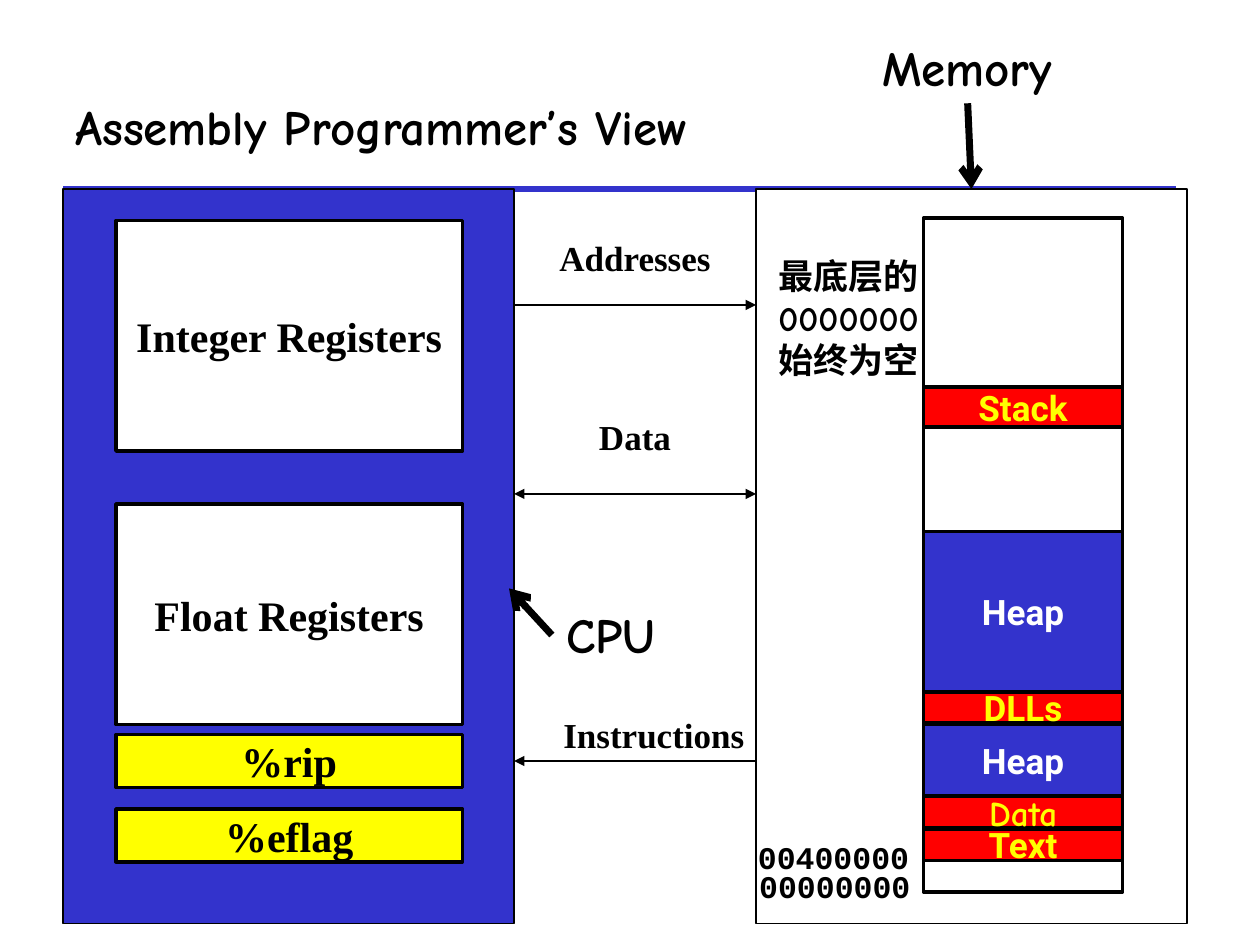
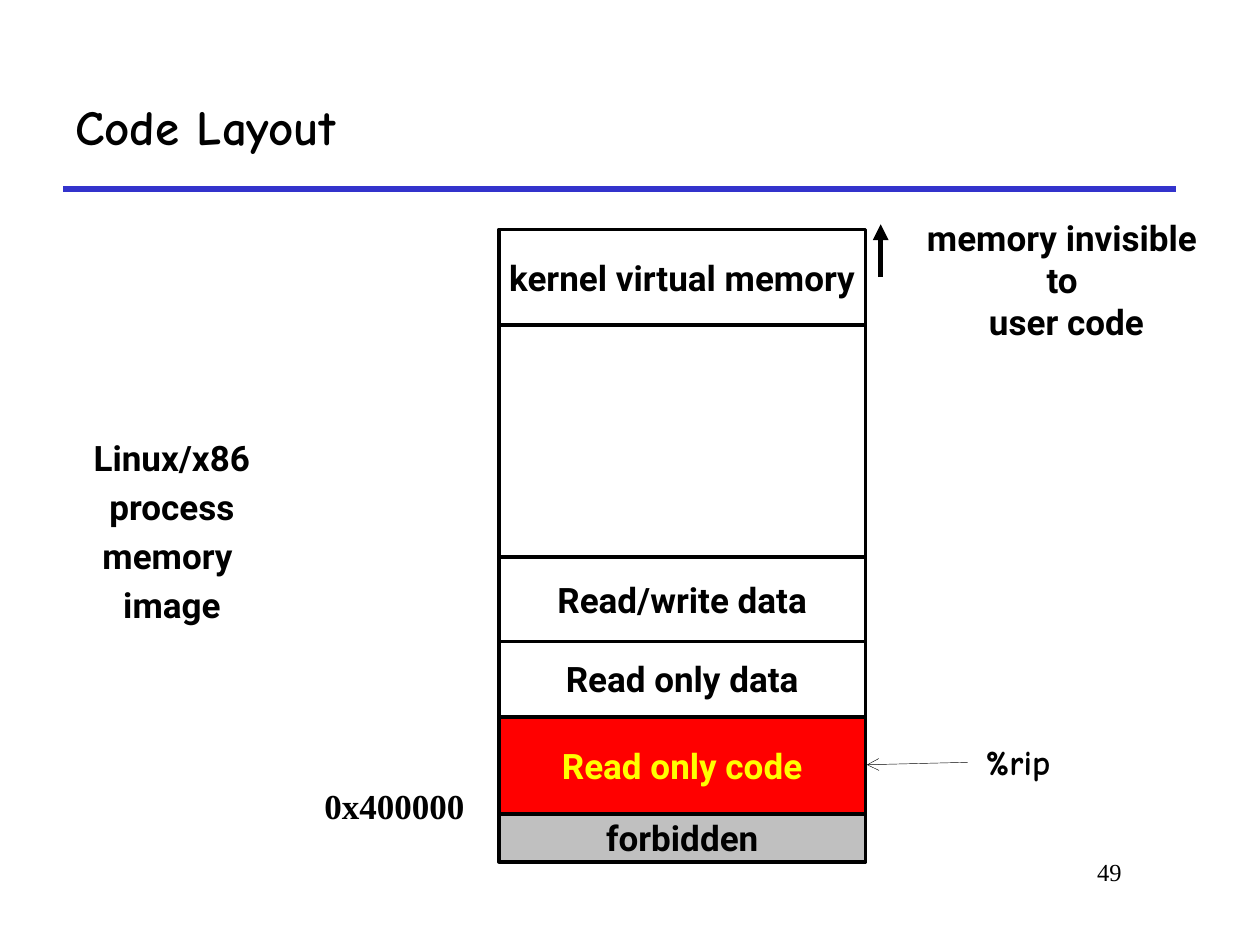
from dataclasses import dataclass

from lxml.etree import SubElement
from pptx import Presentation
from pptx.dml.color import RGBColor
from pptx.enum.shapes import MSO_CONNECTOR, MSO_SHAPE
from pptx.enum.text import MSO_ANCHOR, PP_ALIGN
from pptx.oxml.ns import qn
from pptx.slide import Slide
from pptx.text.text import TextFrame
from pptx.util import Inches, Pt

BLACK, WHITE, BLUE = "000000", "FFFFFF", "3333CC"
RED, YELLOW, GRAY = "FF0000", "FFFF00", "C0C0C0"
COMIC, ROBOTO = "Comic Neue", "Roboto"
TIMES, COURIER = "Times New Roman", "Courier New"


@dataclass(frozen=True)
class Style:
    font: str
    size: float = 20
    color: str = BLACK
    bold: bool = True


@dataclass(frozen=True)
class Area:
    left: float
    top: float
    width: float
    height: float


@dataclass(frozen=True)
class Region:
    area: Area
    fill: str | None = WHITE
    text: str = ""
    style: Style = Style(ROBOTO)
    weight: float = 2


@dataclass(frozen=True)
class Label:
    area: Area
    text: str
    style: Style
    align: PP_ALIGN = PP_ALIGN.CENTER
    anchor: MSO_ANCHOR = MSO_ANCHOR.TOP
    wrap: bool = False
    spacing: tuple[float, float] = (1, 0)


@dataclass(frozen=True)
class Arrow:
    start: tuple[float, float]
    end: tuple[float, float]
    weight: float = 0.75
    head: str = ""
    tail: str = ""
    color: str = BLACK


HEADING = Style(COMIC, 28)
REGISTER = Style(TIMES, 24)
BUS = Style(TIMES)
ADDRESS = Style(COURIER, 18)
ON_RED = Style(ROBOTO, color=YELLOW)
ON_BLUE = Style(ROBOTO, color=WHITE)


def rgb(value: str) -> RGBColor:
    return RGBColor.from_string(value)


def place(area: Area) -> tuple[Inches, Inches, Inches, Inches]:
    return Inches(area.left), Inches(area.top), Inches(area.width), Inches(area.height)


def write(frame: TextFrame, text: str, style: Style, align: PP_ALIGN,
          anchor: MSO_ANCHOR, wrap: bool = False,
          spacing: tuple[float, float] = (1, 0)) -> None:
    frame.word_wrap = wrap
    frame.vertical_anchor = anchor
    font_format = {"name": style.font, "size": Pt(style.size), "bold": style.bold}
    line_spacing, space_before = spacing
    for index, line in enumerate(text.split("\n")):
        paragraph = frame.add_paragraph() if index else frame.paragraphs[0]
        paragraph.alignment = align
        paragraph.line_spacing = line_spacing
        if index:
            paragraph.space_before = Pt(space_before)
        run = paragraph.add_run()
        run.text = line
        for attribute, value in font_format.items():
            setattr(run.font, attribute, value)
        run.font.color.rgb = rgb(style.color)


def draw_region(slide: Slide, region: Region) -> None:
    shape = slide.shapes.add_shape(MSO_SHAPE.RECTANGLE, *place(region.area))
    shape.shadow.inherit = False
    if region.fill:
        shape.fill.solid()
        shape.fill.fore_color.rgb = rgb(region.fill)
    else:
        shape.fill.background()
    shape.line.color.rgb = rgb(BLACK)
    shape.line.width = Pt(region.weight)
    if region.text:
        write(shape.text_frame, region.text, region.style,
              PP_ALIGN.CENTER, MSO_ANCHOR.MIDDLE)


def draw_label(slide: Slide, label: Label) -> None:
    box = slide.shapes.add_textbox(*place(label.area))
    write(box.text_frame, label.text, label.style, label.align,
          label.anchor, label.wrap, label.spacing)


def draw_arrow(slide: Slide, arrow: Arrow) -> None:
    points = [Inches(value) for value in (*arrow.start, *arrow.end)]
    connector = slide.shapes.add_connector(MSO_CONNECTOR.STRAIGHT, *points)
    connector.line.color.rgb = rgb(arrow.color)
    connector.line.width = Pt(arrow.weight)
    for tag, kind in {"a:headEnd": arrow.head, "a:tailEnd": arrow.tail}.items():
        if kind:
            SubElement(connector.line._get_or_add_ln(), qn(tag), type=kind)
    SubElement(connector._element.spPr, qn("a:effectLst"))


def draw_all(slide: Slide, parts: list[Region | Label | Arrow]) -> None:
    painters = {Region: draw_region, Label: draw_label, Arrow: draw_arrow}
    for part in parts:
        painters[type(part)](slide, part)


def start_slide(deck: Presentation, title: str) -> Slide:
    slide = deck.slides.add_slide(deck.slide_layouts[6])
    draw_all(slide, [
        Arrow((0.5, 1.5), (9.33, 1.5), 3, color=BLUE),
        Label(Area(0.5, 0.5, 8.83, 1), title, HEADING, PP_ALIGN.LEFT,
              MSO_ANCHOR.MIDDLE, True),
    ])
    return slide


def column(left: float, width: float,
           rows: list[tuple[float, float, str, str, Style]]) -> list[Region]:
    return [Region(Area(left, top, width, height), fill, text, style)
            for top, height, fill, text, style in rows]


def build_programmer_view(deck: Presentation) -> None:
    slide = start_slide(deck, "Assembly Programmer’s View")
    memory_left, memory_top, memory_width, bank = 7.33, 1.73, 1.58, 1.34
    cpu_right, memory_edge = 4.08, 6

    draw_all(slide, [
        Region(Area(0.5, 1.5, 3.58, 5.83), BLUE, weight=0.75),
        Region(Area(memory_edge, 1.5, 3.42, 5.83), weight=0.75),
    ])
    draw_all(slide, [
        Region(Area(memory_left, memory_top + bank * index, memory_width, bank), weight=0.75)
        for index in range(4)
    ])
    draw_all(slide, [
        Label(Area(5.92, 6.83, 1.41, 0.4), "00000000", ADDRESS),
        Region(Area(memory_left, memory_top, memory_width, 5.35), None),
    ])
    draw_all(slide, column(memory_left, memory_width, [
        (3.07, 0.32, RED, "Stack", ON_RED),
        (5.49, 0.25, RED, "DLLs", ON_RED),
        (6.58, 0.25, RED, "Text", ON_RED),
        (6.32, 0.25, RED, "Data", Style(COMIC, color=YELLOW)),
        (5.75, 0.57, BLUE, "Heap", ON_BLUE),
        (4.22, 1.27, BLUE, "Heap", ON_BLUE),
    ]))
    draw_all(slide, column(0.92, 2.75, [
        (1.75, 1.83, WHITE, "Integer Registers", REGISTER),
        (4, 1.75, WHITE, "Float Registers", REGISTER),
        (5.83, 0.42, YELLOW, "%rip", REGISTER),
        (6.42, 0.42, YELLOW, "%eflag", REGISTER),
    ]))

    buses = [
        ("Addresses", cpu_right, 1.83, 2.42, "", "triangle"),
        ("Data", cpu_right, 3.25, 3.92, "triangle", "triangle"),
        ("Instructions", 4.23, 5.61, 6.04, "triangle", ""),
    ]
    for name, left, top, level, head, tail in buses:
        draw_all(slide, [
            Arrow((cpu_right, level), (memory_edge, level), head=head, tail=tail),
            Label(Area(left, top, 1.92, 0.5), name, BUS, wrap=True),
        ])

    draw_all(slide, [
        Label(Area(5.91, 6.6, 1.41, 0.4), "00400000", ADDRESS),
        Label(Area(4.38, 4.75, 0.94, 0.57), "CPU", HEADING),
        Arrow((4.38, 5.04), (4.04, 4.67), 4, tail="arrow"),
        Label(Area(6.83, 0.25, 1.69, 0.57), "Memory", HEADING),
        Arrow((7.68, 0.82), (7.71, 1.5), 4, tail="arrow"),
        Label(Area(6.08, 1.97, 1.33, 1.45), "最底层的0000000始终为空",
              Style(COMIC), PP_ALIGN.LEFT, wrap=True),
    ])


def build_code_layout(deck: Presentation) -> None:
    slide = start_slide(deck, "Code Layout")
    plain = Style(ROBOTO)
    draw_all(slide, column(3.96, 2.91, [
        (1.82, 0.76, WHITE, "kernel virtual memory", plain),
        (2.58, 2.17, WHITE, "", plain),
        (5.67, 0.81, RED, "Read only code", ON_RED),
        (5.08, 0.61, WHITE, "Read only data", plain),
        (4.42, 0.67, WHITE, "Read/write data", plain),
        (6.46, 0.38, GRAY, "forbidden", plain),
    ]))
    draw_all(slide, [
        Label(Area(7.13, 1.67, 2.6, 0.84), "memory invisible to\n user code",
              plain, wrap=True),
        Arrow((6.99, 2.2), (6.99, 1.78), 3, tail="triangle"),
        Label(Area(0.5, 3.45, 1.73, 1.89), "Linux/x86\nprocess\nmemory \nimage",
              plain, spacing=(0.9, 6.5)),
        Label(Area(2.47, 6.18, 1.32, 0.44), "0x400000", BUS),
        Label(Area(7.68, 5.83, 0.8, 0.44), "%rip", Style(COMIC)),
        Arrow((7.68, 6.05), (6.88, 6.07), 0.25, tail="arrow"),
        Label(Area(7.58, 6.75, 1.42, 0.5), "49",
              Style(TIMES, 14, bold=False), PP_ALIGN.RIGHT, wrap=True),
    ])


def main() -> None:
    deck = Presentation()
    deck.slide_width, deck.slide_height = Inches(10), Inches(7.5)
    build_programmer_view(deck)
    build_code_layout(deck)
    deck.save("out.pptx")


if __name__ == "__main__":
    main()
